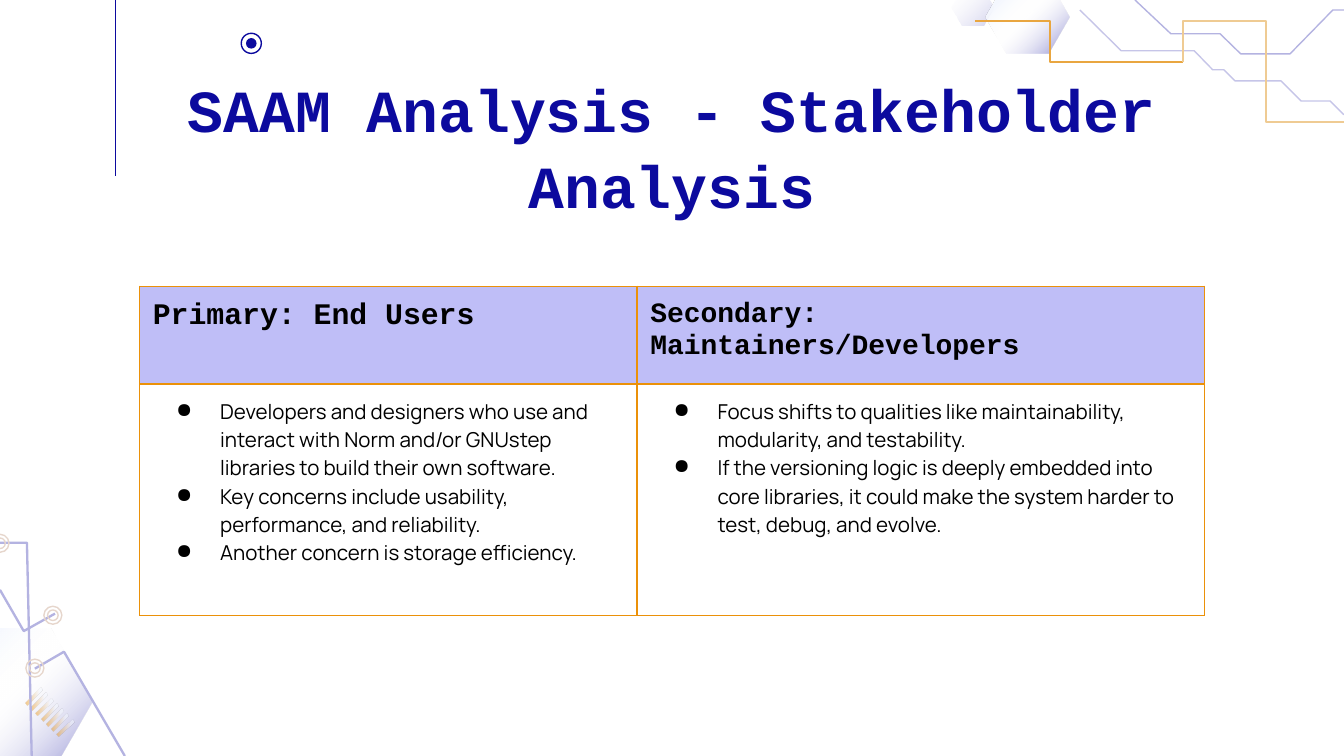
"""Build the stakeholder analysis slide with its table and circuit trim."""
from dataclasses import dataclass

from lxml import etree
from pptx import Presentation
from pptx.dml.color import RGBColor
from pptx.enum.shapes import MSO_CONNECTOR, MSO_SHAPE
from pptx.enum.text import MSO_ANCHOR, MSO_AUTO_SIZE, PP_ALIGN
from pptx.oxml import parse_xml
from pptx.oxml.ns import nsdecls, qn
from pptx.util import Cm, Pt

OVAL = MSO_SHAPE.OVAL
LINE = MSO_CONNECTOR.STRAIGHT
TOP = MSO_ANCHOR.TOP
FIXED = MSO_AUTO_SIZE.NONE
CENTER = PP_ALIGN.CENTER

NAVY, GOLD, LILAC, BLACK = "0C0A9E", "EB9109", "BFBEF7", "000000"
MIST, PALE, WHITE, TAN = "B4B3E1", "F5F8FF", "FFFFFF", "E6D6CC"
MONO, SANS = "Courier New", "Manrope"
INSET = Cm(0.25)


@dataclass
class Trace:
    points: list
    hue: str
    width: float


@dataclass
class Ring:
    x: float
    y: float
    radius: float
    hue: str
    width: float = 0.75


@dataclass
class Patch:
    points: list
    stops: list
    angle: int


@dataclass
class Column:
    head: str
    size: int
    width: float
    items: list


def hexagon(x, y, width, height):
    """Return the corners of a flat-topped hexagon."""
    mid, side = y + height / 2, width / 4
    return [(x + side, y), (x, mid), (x + side, y + height),
            (x + 3 * side, y + height), (x + width, mid), (x + 3 * side, y)]


GLASS = [(0, PALE, 100), (22, PALE, 100), (45, WHITE, 0), (100, NAVY, 50)]
HAZE = [(0, NAVY, 20), (100, WHITE, 0)]
GLOW = [(0, GOLD, 47), (78, PALE, 47), (100, PALE, 47)]
STEP = 0.1

PATCHES = [Patch(hexagon(-1.4, 11.89, 3.15, 2.74), GLASS, 45)]
PATCHES += [
    Patch([(x + i * STEP, y + i * STEP) for x, y in
           [(0.76, 13), (0.48, 13.28), (0.52, 13.33), (0.8, 13.05)]], GLOW, 0)
    for i in range(7)
]
PATCHES += [
    Patch(hexagon(17.98, -0.2, 0.79, 0.68), HAZE, 225),
    Patch(hexagon(18.62, -0.36, 1.6, 1.37), GLASS, 45),
]

TRACES = [
    Trace([(0, 11.15), (0.45, 11.93), (1.04, 11.6)], MIST, 1.25),
    Trace([(0, 10.26), (0.51, 10.26), (0.6, 14.29)], MIST, 1.25),
    Trace([(0.66, 12.64), (1.21, 12.32), (2.36, 14.29)], MIST, 1.25),
    Trace([(20.41, 0.19), (21.19, 0.96), (22.57, 0.96), (22.92, 1.32),
           (23.13, 1.32), (23.34, 1.53), (24.21, 1.53), (24.59, 1.91),
           (25.14, 1.91), (25.4, 2.17)], "C6C5E8", 0.75),
    Trace([(21.45, 0), (22.13, 0.64), (23.06, 0.64), (23.45, 1.02),
           (24.38, 1.02), (25.19, 0.19), (25.4, 0.19)], MIST, 0.75),
    Trace([(18.43, 0.4), (19.85, 0.4), (19.85, 1.18), (22.36, 1.18)],
          "E9A640", 1),
    Trace([(22.36, 1.18), (22.36, 0.4), (23.93, 0.4), (23.93, 2.3),
           (25.4, 2.3)], "EFCB93", 1),
]

RINGS = [Ring(x, y, r, TAN)
         for x, y in [(1, 11.63), (0, 10.27), (0.66, 12.63)]
         for r in (0.17, 0.1)]
RINGS.append(Ring(4.75, 0.82, 0.19, NAVY))

COLUMNS = [
    Column("Primary: End Users", 16, 9.4, [
        "Developers and designers who use and interact with Norm and/or "
        "GNUstep libraries to build their own software.",
        "Key concerns include usability, performance, and reliability.",
        "Another concern is storage efficiency.",
    ]),
    Column("Secondary: Maintainers/Developers", 15, 10.72, [
        "Focus shifts to qualities like maintainability, modularity, "
        "and testability.",
        "If the versioning logic is deeply embedded into core libraries, "
        "it could make the system harder to test, debug, and evolve.",
    ]),
]


def paint(color, value: str) -> None:
    color.rgb = RGBColor.from_string(value)


def stroke(shape, hue: str, width: float) -> None:
    paint(shape.line.color, hue)
    shape.line.width = Pt(width)


def outline(shapes, points: list, close: bool):
    spots = [(Cm(x), Cm(y)) for x, y in points]
    pen = shapes.build_freeform(*spots[0], scale=1.0)
    pen.add_line_segments(spots[1:], close=close)
    shape = pen.convert_to_shape()
    shape.shadow.inherit = False
    shape.fill.background()
    return shape


def add_trace(shapes, trace: Trace) -> None:
    stroke(outline(shapes, trace.points, False), trace.hue, trace.width)


def add_patch(shapes, patch: Patch) -> None:
    shape = outline(shapes, patch.points, True)
    stops = "".join(
        f'<a:gs pos="{spot * 1000}"><a:srgbClr val="{hue}">'
        f'<a:alpha val="{alpha * 1000}"/></a:srgbClr></a:gs>'
        for spot, hue, alpha in patch.stops)
    blend = parse_xml(
        f'<a:gradFill {nsdecls("a")}><a:gsLst>{stops}</a:gsLst>'
        f'<a:lin ang="{patch.angle * 60000}" scaled="0"/></a:gradFill>')
    props = shape.element.spPr
    props.replace(props.find(qn("a:noFill")), blend)
    shape.line.fill.background()


def add_oval(shapes, x: float, y: float, radius: float):
    shape = shapes.add_shape(OVAL, Cm(x - radius), Cm(y - radius),
                             Cm(2 * radius), Cm(2 * radius))
    shape.shadow.inherit = False
    return shape


def add_ring(shapes, ring: Ring) -> None:
    shape = add_oval(shapes, ring.x, ring.y, ring.radius)
    shape.fill.background()
    stroke(shape, ring.hue, ring.width)


def add_mark(shapes) -> None:
    dot = add_oval(shapes, 4.75, 0.82, 0.1)
    dot.fill.solid()
    paint(dot.fill.fore_color, NAVY)
    dot.line.fill.background()
    rule = shapes.add_connector(LINE, Cm(2.18), Cm(0), Cm(2.18), Cm(3.32))
    stroke(rule, NAVY, 0.75)
    etree.SubElement(rule.element.spPr, qn("a:effectLst"))


def write(para, text: str, size: int, face: str, hue: str, bold: bool) -> None:
    run = para.add_run()
    run.text = text
    run.font.size, run.font.name, run.font.bold = Pt(size), face, bold
    paint(run.font.color, hue)


def pad(box) -> None:
    box.margin_left = box.margin_right = INSET
    box.margin_top = box.margin_bottom = INSET


def add_title(shape) -> None:
    shape.left, shape.top = Cm(3.05), Cm(1.04)
    shape.width, shape.height = Cm(19.3), Cm(2.87)
    frame = shape.text_frame
    pad(frame)
    frame.auto_size, frame.vertical_anchor = FIXED, TOP
    para = frame.paragraphs[0]
    para.alignment, para.line_spacing = CENTER, 1.06
    write(para, "SAAM Analysis - Stakeholder Analysis", 32, MONO, NAVY, True)


def bullet(para) -> None:
    props = para._p.get_or_add_pPr()
    props.set("marL", str(Cm(1.27)))
    props.set("indent", str(-Cm(0.83)))
    tint = etree.SubElement(props, qn("a:buClr"))
    etree.SubElement(tint, qn("a:srgbClr"), val=BLACK)
    etree.SubElement(props, qn("a:buChar"), char="●")


def border(cell) -> None:
    props = cell._tc.get_or_add_tcPr()
    for side in "LRTB":
        props.append(parse_xml(
            f'<a:ln{side} {nsdecls("a")} w="{Pt(0.75)}"><a:solidFill>'
            f'<a:srgbClr val="{GOLD}"/></a:solidFill></a:ln{side}>'))


def add_grid(shapes) -> None:
    width = sum(col.width for col in COLUMNS)
    table = shapes.add_table(2, len(COLUMNS), Cm(2.64), Cm(5.41),
                             Cm(width), Cm(6.22)).table
    table.rows[0].height, table.rows[1].height = Cm(1.85), Cm(4.37)
    for i, col in enumerate(COLUMNS):
        table.columns[i].width = Cm(col.width)
        head, body = table.cell(0, i), table.cell(1, i)
        for cell in (head, body):
            pad(cell)
            border(cell)
        head.fill.solid()
        paint(head.fill.fore_color, LILAC)
        body.fill.background()
        write(head.text_frame.paragraphs[0], col.head, col.size, MONO, BLACK, True)
        frame = body.text_frame
        for j, item in enumerate(col.items):
            para = frame.add_paragraph() if j else frame.paragraphs[0]
            bullet(para)
            write(para, item, 11, SANS, BLACK, False)


def main() -> None:
    deck = Presentation()
    deck.slide_width, deck.slide_height = Cm(25.4), Cm(14.29)
    slide = deck.slides.add_slide(deck.slide_layouts[5])
    shapes = slide.shapes
    for items, draw in ((PATCHES, add_patch), (TRACES, add_trace),
                        (RINGS, add_ring)):
        for item in items:
            draw(shapes, item)
    add_mark(shapes)
    add_title(shapes.title)
    add_grid(shapes)
    deck.save("out.pptx")


if __name__ == "__main__":
    main()
